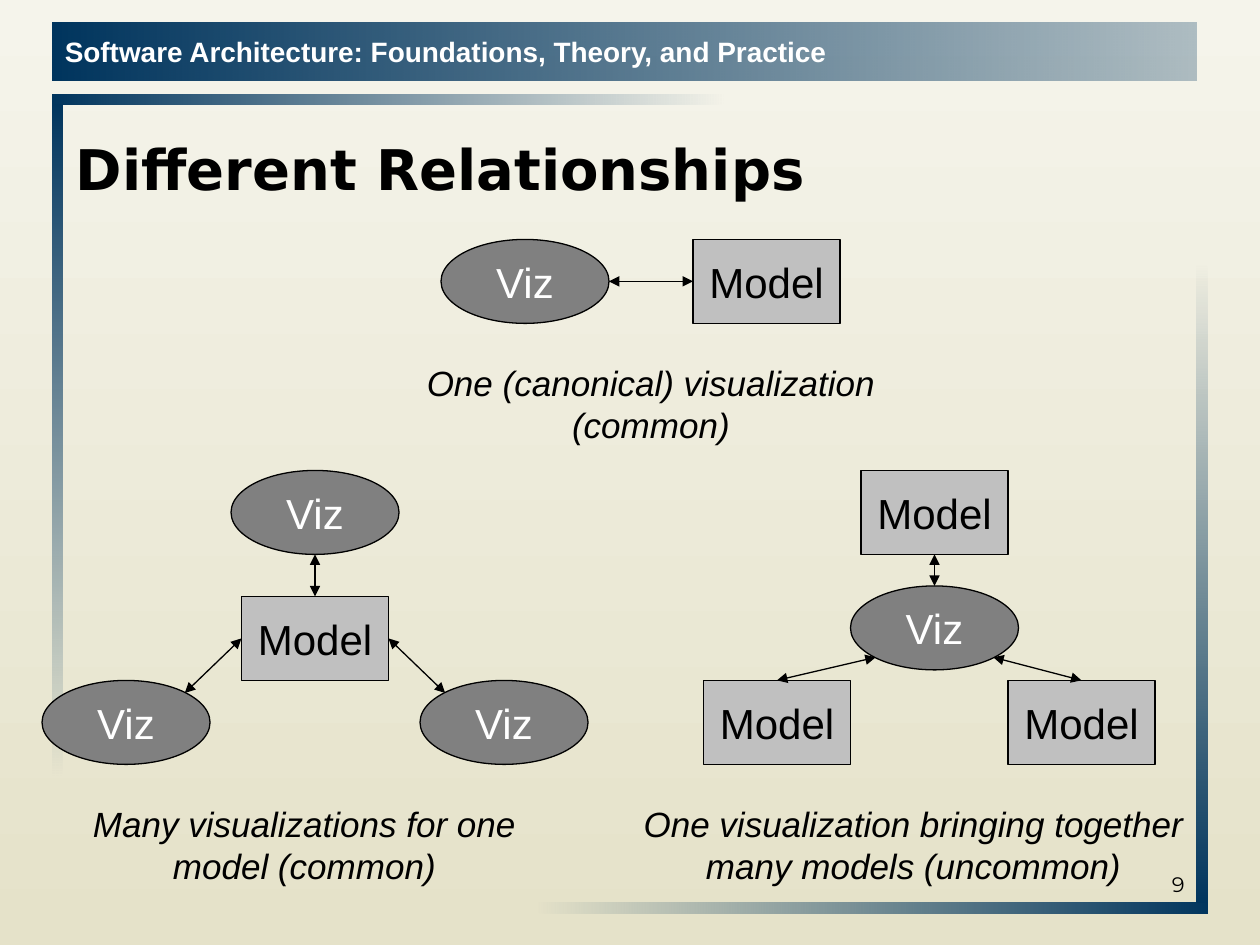
from dataclasses import dataclass

from lxml import etree
from pptx import Presentation, util as u
from pptx.dml.color import RGBColor
from pptx.enum import shapes, text
from pptx.oxml.ns import qn

COLORS = {
    "navy": "00355E", "paper": "F5F4EB", "sand": "E5E2C9",
    "viz": "808080", "model": "C0C0C0", "black": "000000", "white": "FFFFFF",
}
CELL = 1 / 12  # grid step in inches: 120 columns by 90 rows
RIGHTWARD, DOWNWARD = 0, 270  # gradient angles, counter-clockwise


@dataclass(frozen=True)
class Box:
    column: float
    row: float
    columns: float
    rows: float

    def frame(self) -> tuple:
        return tuple(grid(v) for v in (self.column, self.row, self.columns, self.rows))

    def point(self, site: str) -> tuple:
        across, down = SITES[site]
        return grid(self.column + across * self.columns), grid(self.row + down * self.rows)


@dataclass(frozen=True)
class Bar:
    box: Box
    angle: int
    opacities: tuple
    label: str = ""


@dataclass(frozen=True)
class Caption:
    box: Box
    words: str


# Points on a node's edge, as shares of its width and height
DIAGONAL = 0.85
SITES = {
    "top": (0.5, 0), "bottom": (0.5, 1), "left": (0, 0.5), "right": (1, 0.5),
    "top left": (1 - DIAGONAL, 1 - DIAGONAL), "top right": (DIAGONAL, 1 - DIAGONAL),
    "bottom left": (1 - DIAGONAL, DIAGONAL), "bottom right": (DIAGONAL, DIAGONAL),
}


def grid(cells: float) -> int:
    return u.Inches(cells * CELL)


def color(name: str) -> RGBColor:
    return RGBColor.from_string(COLORS[name])


def viz(column: float, row: float) -> Box:
    return Box(column, row, 16, 8)


def model(column: float, row: float) -> Box:
    return Box(column, row, 14, 8)


def write(shape, words: str, size: int, ink="black", font="Arial", align="LEFT",
          anchor="MIDDLE", wrap=True, bold=False, italic=False) -> None:
    frame = shape.text_frame
    frame.text = words
    frame.word_wrap = wrap
    frame.auto_size = text.MSO_AUTO_SIZE.NONE
    frame.vertical_anchor = getattr(text.MSO_ANCHOR, anchor)
    paragraph = frame.paragraphs[0]
    paragraph.alignment = getattr(text.PP_ALIGN, align)
    for run in paragraph.runs:
        run.font.name, run.font.size = font, u.Pt(size)
        run.font.bold, run.font.italic = bold, italic
        run.font.color.rgb = color(ink)


def set_gradient(fill, names: tuple, angle: int) -> None:
    fill.gradient()
    fill.gradient_angle = angle
    for stop, name, position in zip(fill.gradient_stops, names, (0, 1)):
        stop.color.rgb = color(name)
        stop.position = position


def draw_bar(slide, bar: Bar) -> None:
    shape = slide.shapes.add_shape(shapes.MSO_SHAPE.RECTANGLE, *bar.box.frame())
    shape.shadow.inherit = False
    shape.line.fill.background()
    set_gradient(shape.fill, ("navy", "navy"), bar.angle)
    stops = shape._element.spPr.iter(qn("a:srgbClr"))
    for stop, opacity in zip(stops, bar.opacities):
        etree.SubElement(stop, qn("a:alpha"), val=str(opacity * 1000))
    if bar.label:
        write(shape, bar.label, 16, "white", wrap=False, bold=True)


def draw_node(slide, box: Box, is_viz: bool) -> None:
    kind = shapes.MSO_SHAPE.OVAL if is_viz else shapes.MSO_SHAPE.RECTANGLE
    shape = slide.shapes.add_shape(kind, *box.frame())
    shape.shadow.inherit = False
    shape.fill.solid()
    shape.fill.fore_color.rgb = color("viz" if is_viz else "model")
    shape.line.color.rgb = color("black")
    shape.line.width = u.Pt(0.75)
    write(shape, "Viz" if is_viz else "Model", 24, "white" if is_viz else "black",
          align="CENTER", wrap=False)


def draw_link(slide, start: Box, start_site: str, end: Box, end_site: str) -> None:
    line = slide.shapes.add_connector(
        shapes.MSO_CONNECTOR.STRAIGHT, *start.point(start_site), *end.point(end_site))
    line.line.color.rgb = color("black")
    line.line.width = u.Pt(0.75)
    outline = line.line._get_or_add_ln()
    for end_name in ("a:headEnd", "a:tailEnd"):
        etree.SubElement(outline, qn(end_name), type="triangle")
    etree.SubElement(line._element.spPr, qn("a:effectLst"))


def draw_caption(slide, caption: Caption) -> None:
    shape = slide.shapes.add_textbox(*caption.box.frame())
    write(shape, caption.words, 20, align="CENTER", anchor="TOP", italic=True)


# Frame bars
BARS = [
    Bar(Box(5, 9, 64, 1), RIGHTWARD, (100, 0)),
    Bar(Box(5, 2.1, 109, 5.6), RIGHTWARD, (100, 29),
        "Software Architecture: Foundations, Theory, and Practice"),
    Bar(Box(5, 10, 1, 64), DOWNWARD, (100, 0)),
    Bar(Box(51, 86, 64, 1), RIGHTWARD, (0, 100)),
    Bar(Box(114, 25, 1, 61), DOWNWARD, (0, 100)),
]

# Rows shared by the diagrams
SINGLE, UPPER, LOWER, CAPTION = 22.8, 44.8, 64.8, 75.8

# One visualization of one model
single_viz, single_model = viz(42, SINGLE), model(66, SINGLE)
# Many visualizations around one model
hub_model = model(23, UPPER + 12)
top_viz, left_viz, right_viz = viz(22, UPPER), viz(4, LOWER), viz(40, LOWER)
# Many models around one visualization
hub_viz = viz(81, UPPER + 11)
top_model, left_model, right_model = model(82, UPPER), model(67, LOWER), model(96, LOWER)

VIZ_NODES = [single_viz, top_viz, left_viz, right_viz, hub_viz]
MODEL_NODES = [single_model, hub_model, top_model, left_model, right_model]
LINKS = [
    (single_viz, "right", single_model, "left"),
    (left_viz, "top right", hub_model, "left"),
    (top_viz, "bottom", hub_model, "top"),
    (right_viz, "top left", hub_model, "right"),
    (hub_viz, "bottom left", left_model, "top"),
    (right_model, "top", hub_viz, "bottom right"),
    (top_model, "bottom", hub_viz, "top"),
]
CAPTIONS = [
    Caption(Box(38, 33.8, 48, 9.3), "One (canonical) visualization\v(common)"),
    Caption(Box(5, CAPTION, 48, 9.3), "Many visualizations for one model (common)"),
    Caption(Box(58, CAPTION, 58, 9.3),
            "One visualization bringing together many models (uncommon)"),
]


def main() -> None:
    presentation = Presentation()
    presentation.slide_width, presentation.slide_height = grid(120), grid(90)
    slide = presentation.slides.add_slide(presentation.slide_layouts[5])
    set_gradient(slide.background.fill, ("paper", "sand"), DOWNWARD)

    for bar in BARS:
        draw_bar(slide, bar)

    # Title and page number
    title = slide.shapes.title
    title.left, title.top, title.width, title.height = Box(6, 10, 108, 12).frame()
    write(title, "Different Relationships", 32, font="DejaVu Sans", bold=True)
    number = slide.shapes.add_textbox(*Box(86, 80, 28, 6).frame())
    write(number, "9", 12, font="Montserrat", align="RIGHT", anchor="BOTTOM")

    # Diagrams
    for box in VIZ_NODES:
        draw_node(slide, box, True)
    for box in MODEL_NODES:
        draw_node(slide, box, False)
    for link in LINKS:
        draw_link(slide, *link)
    for caption in CAPTIONS:
        draw_caption(slide, caption)

    presentation.save("out.pptx")


if __name__ == "__main__":
    main()
